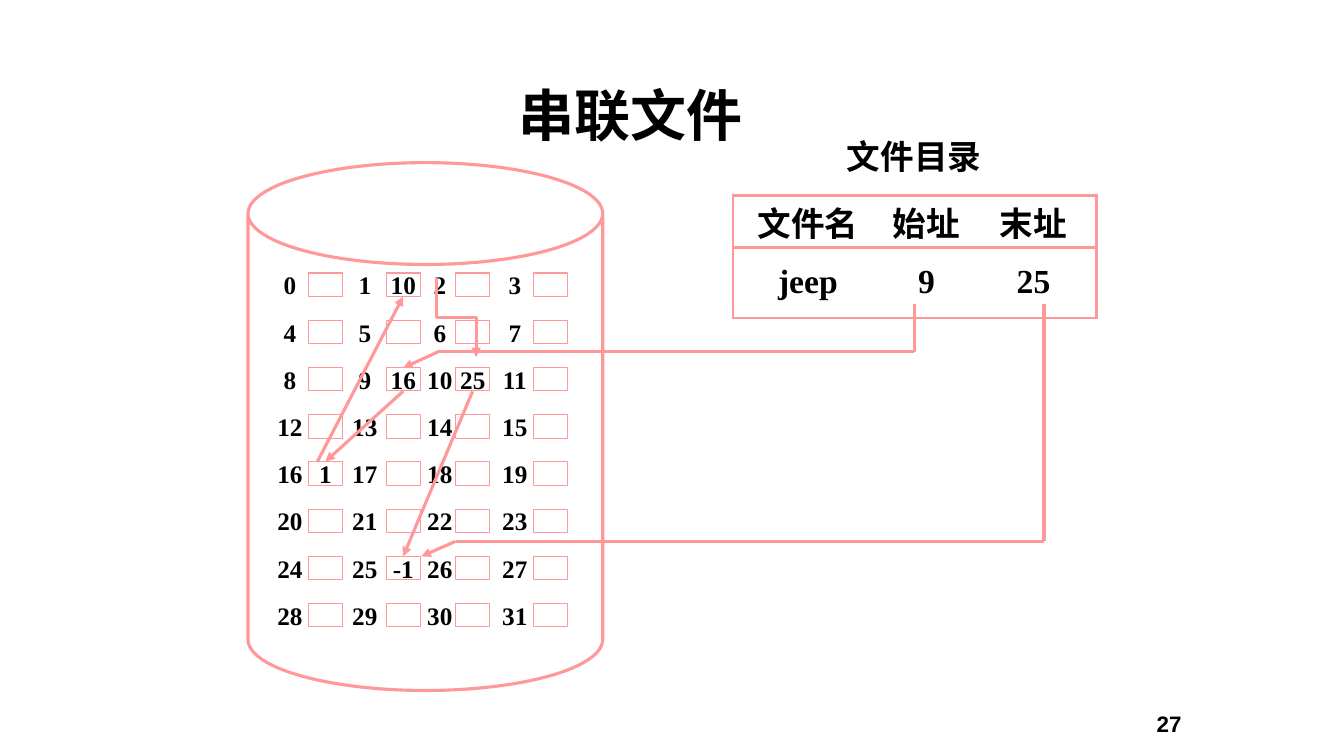
from itertools import pairwise

from lxml import etree
from pptx import Presentation
from pptx import util as u
from pptx.dml import color as dml
from pptx.enum import shapes, text
from pptx.oxml import ns

PINK = "FF9999"
SERIF = "Times New Roman"
HEADING = "Noto Sans CJK SC"


def rgb(code):
    """Turn a hex string into a colour."""
    return dml.RGBColor.from_string(code)


def write(frame, words, size=18, font=SERIF, color="000000", wrap=False,
          anchor=text.MSO_ANCHOR.MIDDLE):
    """Write one centred bold paragraph in a text frame."""
    frame.margin_left = frame.margin_right = 0
    frame.margin_top = frame.margin_bottom = 0
    frame.word_wrap = wrap
    frame.vertical_anchor = anchor
    para = frame.paragraphs[0]
    para.alignment = text.PP_ALIGN.CENTER
    span = para.add_run()
    span.text = words
    span.font.size = u.Pt(size)
    span.font.bold = True
    span.font.name = font
    span.font.color.rgb = rgb(color)
    east = etree.SubElement(span.font._element, ns.qn("a:ea"))
    east.set("typeface", HEADING)


class Diagram:
    """Hold the line style and the slide, and draw each kind of element."""

    def __init__(self, slide, color, weight):
        """Keep the slide and the default line style."""
        self.slide = slide
        self.color = color
        self.weight = weight

    def title(self, words, area):
        """Place and format the title placeholder."""
        box = self.slide.shapes.title
        box.left, box.top, box.width, box.height = map(u.Cm, area)
        write(box.text_frame, words, 40, HEADING, wrap=True,
              anchor=text.MSO_ANCHOR.BOTTOM)

    def label(self, words, area, **style):
        """Add a text box."""
        box = self.slide.shapes.add_textbox(*map(u.Cm, area))
        write(box.text_frame, words, **style)

    def outline(self, kind, area, weight=None):
        """Add an unfilled preset shape."""
        shape = self.slide.shapes.add_shape(kind, *map(u.Cm, area))
        self.stroke(shape, weight)
        shape.fill.background()
        shape.shadow.inherit = False
        return shape

    def stroke(self, shape, weight=None, arrow=False):
        """Set the line of a shape, with an arrowhead if asked."""
        shape.line.color.rgb = rgb(self.color)
        shape.line.width = u.Pt(weight or self.weight)
        if arrow:
            tail = etree.SubElement(shape.line._get_or_add_ln(), ns.qn("a:tailEnd"))
            tail.set("type", "triangle")

    def route(self, *points):
        """Join points by straight lines, the last one with an arrowhead."""
        legs = list(pairwise(points))
        for number, (start, end) in enumerate(legs, 1):
            line = self.slide.shapes.add_connector(
                shapes.MSO_CONNECTOR.STRAIGHT, *map(u.Cm, start + end))
            self.stroke(line, arrow=number == len(legs))
            etree.SubElement(line._element.spPr, ns.qn("a:effectLst"))

    def curve(self, *knots, steps=12):
        """Draw joined cubic curves that end in an arrowhead."""
        points = [knots[0]]
        for first in range(0, len(knots) - 1, 3):
            bend = knots[first:first + 4]
            for step in range(1, steps + 1):
                t = step / steps
                weights = ((1 - t) ** 3, 3 * t * (1 - t) ** 2,
                           3 * t ** 2 * (1 - t), t ** 3)
                points.append(tuple(sum(w * knot[axis] for w, knot in zip(weights, bend))
                                    for axis in (0, 1)))
        builder = self.slide.shapes.build_freeform(*points[0], scale=u.Cm(1))
        builder.add_line_segments(points[1:], close=False)
        shape = builder.convert_to_shape()
        self.stroke(shape, arrow=True)
        shape.fill.background()
        shape.shadow.inherit = False

    def table(self, rows, left, top, widths, heights):
        """Add a table with row rules and an outer frame."""
        frame = self.slide.shapes.add_table(
            len(rows), len(widths), u.Cm(left), u.Cm(top),
            u.Cm(sum(widths)), u.Cm(sum(heights)))
        grid = frame.table
        grid.first_row = grid.horz_banding = False
        for column, width in zip(grid.columns, widths):
            column.width = u.Cm(width)
        for r, words in enumerate(rows):
            grid.rows[r].height = u.Cm(heights[r])
            for c, word in enumerate(words):
                cell = grid.cell(r, c)
                cell.margin_left = cell.margin_right = 0
                cell.margin_top = cell.margin_bottom = 0
                cell.vertical_anchor = text.MSO_ANCHOR.MIDDLE
                write(cell.text_frame, word, 24, wrap=True)
                cell.fill.background()
                self.borders(cell, {"L": c == 0, "R": c == len(widths) - 1,
                                    "T": True, "B": True})

    def borders(self, cell, sides):
        """Show or hide each side of a table cell."""
        props = cell._tc.get_or_add_tcPr()
        for place, (side, shown) in enumerate(sides.items()):
            line = etree.Element(ns.qn(f"a:ln{side}"), w=str(u.Pt(self.weight)))
            fill = etree.SubElement(line, ns.qn("a:solidFill" if shown else "a:noFill"))
            if shown:
                etree.SubElement(fill, ns.qn("a:srgbClr"), val=self.color)
            props.insert(place, line)


def main():
    """Build the linked file slide."""
    deck = Presentation()
    deck.slide_width, deck.slide_height = u.Cm(33.87), u.Cm(19.05)
    page = Diagram(deck.slides.add_slide(deck.slide_layouts[5]), PINK, 2.25)
    page.title("串联文件", (2.54, 1.32, 26.7, 2.39))

    disk = page.outline(shapes.MSO_SHAPE.CAN, (6.25, 4.1, 8.94, 13.3))
    disk.adjustments[0] = 0.287

    page.label("文件目录", (21.08, 3.3, 3.91, 1.27), size=24)
    page.table([("文件名", "始址", "末址"), ("jeep", "9", "25")],
               18.47, 4.93, (3.78, 2.2, 3.19), (1.3, 1.78))

    links = {1: "10", 9: "16", 10: "25", 16: "1", 25: "-1"}
    slot_lefts = (7.77, 9.73, 11.48, 13.44)
    for block in range(32):
        row, column = divmod(block, 4)
        top = 6.88 + 1.19 * row
        page.label(str(block), (6.68 + 1.89 * column, top, 1.25, 0.59))
        slot = page.outline(shapes.MSO_SHAPE.RECTANGLE,
                            (slot_lefts[column], top, 0.87, 0.59), 0.75)
        if block in links:
            write(slot.text_frame, links[block])

    page.route((23.04, 7.67), (23.04, 8.86), (11.05, 8.86), (10.16, 9.27))
    page.route((10.16, 9.86), (8.2, 11.63))
    page.route((8, 11.63), (10.16, 7.47))
    page.curve((10.62, 7.26), (11.13, 7.59), (11.66, 7.92), (11.91, 8.28),
               (12.17, 8.61), (12.14, 8.94), (12.14, 9.27))
    page.route((11.91, 9.86), (10.16, 14.02))
    page.route((26.31, 7.67), (26.31, 13.64), (11.48, 13.64), (10.62, 14.02))

    page.label("27", (28.45, 17.78, 2.03, 0.9), size=16, font="Arial")
    deck.save("out.pptx")


if __name__ == "__main__":
    main()
